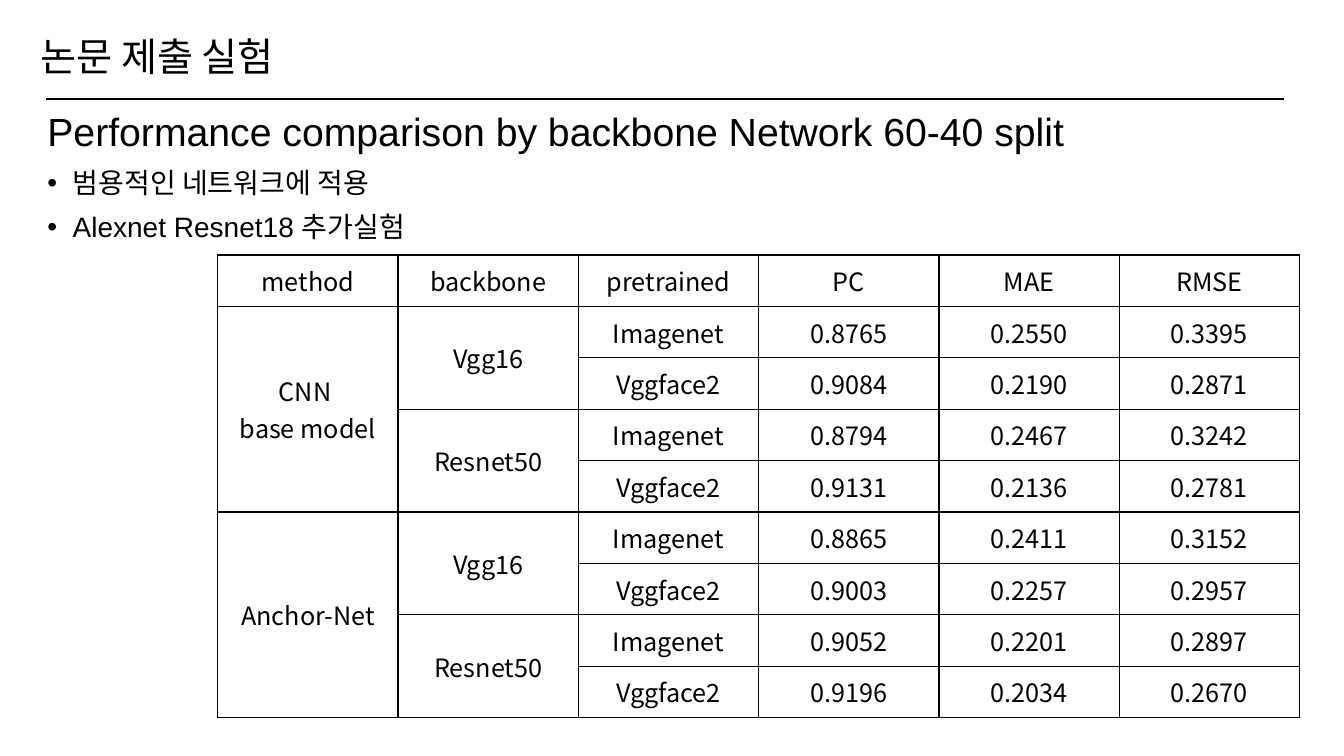
from lxml.etree import SubElement
from pptx import Presentation
from pptx.dml.color import RGBColor
from pptx.enum.shapes import MSO_CONNECTOR as Connector
from pptx.enum.text import MSO_ANCHOR as Anchor, MSO_AUTO_SIZE as AutoSize, PP_ALIGN as Align
from pptx.oxml.ns import qn
from pptx.util import Inches, Pt

BLACK = RGBColor(0x00, 0x00, 0x00)
LATIN_FONT = "Arial"
KOREAN_FONT = "Noto Sans CJK KR"

HEADING = "Performance comparison by backbone Network 60-40 split"
BULLETS = ["범용적인 네트워크에 적용", "Alexnet Resnet18 추가실험"]
HEADERS = ["method", "backbone", "pretrained", "PC", "MAE", "RMSE"]
METHODS = ["CNN \nbase model", "Anchor-Net"]
BACKBONES = ["Vgg16", "Resnet50"]
PRETRAINED = ["Imagenet", "Vggface2"]
SCORES = [
    ("0.8765", "0.2550", "0.3395"),
    ("0.9084", "0.2190", "0.2871"),
    ("0.8794", "0.2467", "0.3242"),
    ("0.9131", "0.2136", "0.2781"),
    ("0.8865", "0.2411", "0.3152"),
    ("0.9003", "0.2257", "0.2957"),
    ("0.9052", "0.2201", "0.2897"),
    ("0.9196", "0.2034", "0.2670"),
]


def add_span(para, text, size, font=LATIN_FONT):
    span = para.add_run()
    span.text = text
    span.font.size = Pt(size)
    span.font.name = font
    span.font.color.rgb = BLACK
    east_asian = SubElement(span.font._element, qn("a:ea"))
    east_asian.set("typeface", KOREAN_FONT)


def place(shape, left, top, width, height):
    shape.left, shape.top = Inches(left), Inches(top)
    shape.width, shape.height = Inches(width), Inches(height)


def fill_title(slide, left, top, width, height):
    title = slide.shapes.title
    place(title, left, top, width, height)
    frame = title.text_frame
    frame.auto_size = AutoSize.NONE
    frame.vertical_anchor = Anchor.MIDDLE
    para = frame.paragraphs[0]
    para.alignment = Align.LEFT
    para.line_spacing = 0.9
    add_span(para, "논문 제출 실험", 28)


def add_rule(slide, left, top, width):
    rule = slide.shapes.add_connector(
        Connector.STRAIGHT, Inches(left), Inches(top), Inches(left + width), Inches(top)
    )
    rule.line.color.rgb = BLACK
    rule.line.width = Pt(1.5)
    SubElement(rule._element.spPr, qn("a:effectLst"))


def set_bullet(para, char=None):
    """Give the paragraph a hanging bullet, or none when char is missing."""
    indent = Inches(0.25) if char else 0
    properties = para._p.get_or_add_pPr()
    properties.set("marL", str(indent))
    properties.set("indent", str(-indent))
    if char:
        SubElement(properties, qn("a:buFont")).set("typeface", LATIN_FONT)
        SubElement(properties, qn("a:buChar")).set("char", char)
    else:
        SubElement(properties, qn("a:buNone"))


def fill_body(slide, left, top, width, height):
    body = slide.placeholders[1]
    place(body, left, top, width, height)
    frame = body.text_frame
    frame.auto_size = AutoSize.NONE
    frame.vertical_anchor = Anchor.TOP
    lines = [(HEADING, 28, None)] + [(text, 20, "•") for text in BULLETS]
    for index, (text, size, char) in enumerate(lines):
        para = frame.add_paragraph() if index else frame.paragraphs[0]
        para.line_spacing = 0.9
        para.space_before = Pt(10)
        set_bullet(para, char)
        add_span(para, text, size)


def style_cell(cell):
    properties = cell._tc.get_or_add_tcPr()
    for side in ("lnL", "lnR", "lnT", "lnB"):
        border = SubElement(properties, qn(f"a:{side}"), w=str(Pt(1)))
        color = SubElement(SubElement(border, qn("a:solidFill")), qn("a:srgbClr"))
        color.set("val", str(BLACK))
    cell.fill.background()
    cell.vertical_anchor = Anchor.MIDDLE


def write_cell(cell, text):
    for index, line in enumerate(text.split("\n")):
        frame = cell.text_frame
        para = frame.add_paragraph() if index else frame.paragraphs[0]
        para.alignment = Align.CENTER
        add_span(para, line, 18, KOREAN_FONT)


def write_groups(table, column, labels, span):
    """Write labels down a column, each merged over span rows."""
    for index in range(len(SCORES) // span):
        first = 1 + index * span
        cell = table.cell(first, column)
        if span > 1:
            cell.merge(table.cell(first + span - 1, column))
        write_cell(cell, labels[index % len(labels)])


def add_results(slide, left, top, width, height):
    frame = slide.shapes.add_table(
        len(SCORES) + 1, len(HEADERS), Inches(left), Inches(top), Inches(width), Inches(height)
    )
    table = frame.table
    table.first_row = table.horz_banding = False
    for cell in table.iter_cells():
        style_cell(cell)
    for column, header in enumerate(HEADERS):
        write_cell(table.cell(0, column), header)
    for column, (labels, span) in enumerate([(METHODS, 4), (BACKBONES, 2), (PRETRAINED, 1)]):
        write_groups(table, column, labels, span)
    for row, scores in enumerate(SCORES, start=1):
        for column, score in enumerate(scores, start=3):
            write_cell(table.cell(row, column), score)


def main():
    deck = Presentation()
    deck.slide_width, deck.slide_height = Inches(13.33), Inches(7.5)
    slide = deck.slides.add_slide(deck.slide_layouts[1])
    add_rule(slide, 0.46, 0.98, 12.28)
    fill_title(slide, 0.3, 0.08, 9.4, 1)
    fill_body(slide, 0.37, 1.07, 11.13, 1.79)
    add_results(slide, 2.16, 2.53, 10.73, 4.59)
    deck.save("out.pptx")


if __name__ == "__main__":
    main()
